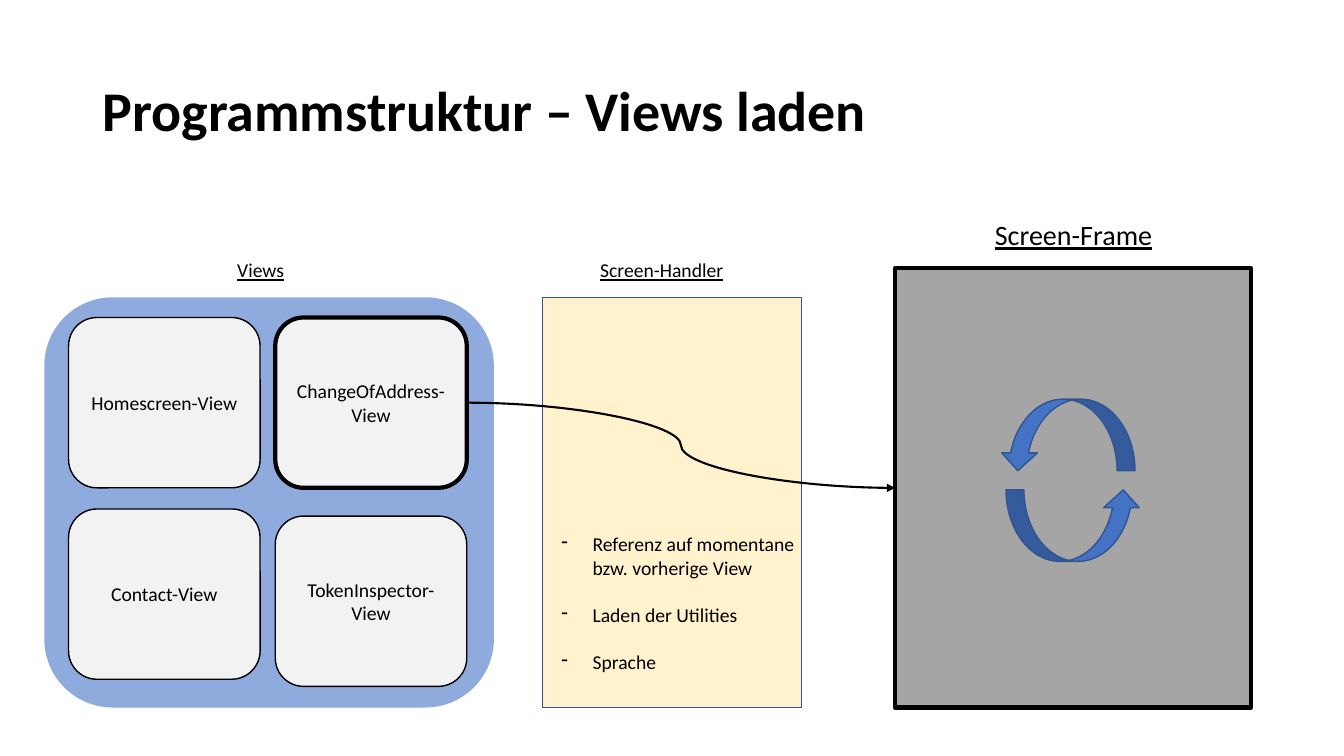
from itertools import product

from pptx import Presentation
from pptx.dml.color import RGBColor as RGB
from pptx.enum.shapes import MSO_CONNECTOR as LINK, MSO_SHAPE as KIND
from pptx.enum.text import MSO_ANCHOR as ANCHOR, PP_ALIGN as ALIGN
from pptx.oxml.ns import qn
from pptx.util import Inches, Pt
from lxml.etree import SubElement as Sub

WIDE, HIGH = Inches(13.33), Inches(7.5)
BLACK, BLUE, EDGE, CARD = "000000", "4472C4", "325491", "F2F2F2"


def area(left, top, wide, high):
    """Turn percentages of the slide into lengths."""
    return [int(part * size / 100) for part, size in
            zip((left, top, wide, high), (WIDE, HIGH, WIDE, HIGH))]


def paint(fill, hue):
    """Give a fill one solid colour."""
    fill.solid()
    fill.fore_color.rgb = RGB.from_string(hue)


def put(item, values):
    """Set every attribute in a dict of format values."""
    for name, value in values.items():
        setattr(item, name, value)


def write(frame, lines, look, form, anchor=ANCHOR.TOP):
    """Fill a text frame with equally formatted paragraphs."""
    put(frame, {"word_wrap": True, "vertical_anchor": anchor})
    for at, line in enumerate(lines):
        para = frame.add_paragraph() if at else frame.paragraphs[0]
        put(para, form)
        run = para.add_run()
        run.text = line
        put(run.font, {"name": "Calibri", "size": Pt(14), **look})
        paint(run.font.fill, BLACK)
    return frame.paragraphs


def block(slide, kind, place, hue, edge=None, thick=1, turn=0):
    """Add a flat preset shape."""
    shape = slide.shapes.add_shape(kind, *area(*place))
    shape.shadow.inherit = False
    shape.rotation = turn
    paint(shape.fill, hue)
    if edge:
        paint(shape.line.fill, edge)
        shape.line.width = Pt(thick)
    else:
        shape.line.fill.background()
    return shape


def card(slide, name, place, thick=1):
    """Add a rounded card with its view's name."""
    shape = block(slide, KIND.ROUNDED_RECTANGLE, place, CARD, BLACK, thick)
    write(shape.text_frame, [name], {}, {"alignment": ALIGN.CENTER}, ANCHOR.MIDDLE)
    return shape


def label(slide, name, place, size=14):
    """Add a centred underlined heading."""
    box = slide.shapes.add_textbox(*area(*place))
    write(box.text_frame, [name], {"size": Pt(size), "underline": True},
          {"alignment": ALIGN.CENTER})


def dashes(slide, lines, place):
    """Add a list with hanging dashes and spaced items."""
    box = slide.shapes.add_textbox(*area(*place))
    paras = write(box.text_frame, lines, {}, {})
    for at, para in enumerate(paras):
        para.space_before = Pt(17 if at else 0)
        props = para._p.get_or_add_pPr()
        props.set("marL", str(Inches(0.31)))
        props.set("indent", str(-Inches(0.31)))
        Sub(props, qn("a:buChar")).set("char", "-")


def curve(slide, start, end):
    """Join two shapes from right to left with a curved arrow."""
    link = slide.shapes.add_connector(LINK.CURVE, 0, 0, 0, 0)
    link.begin_connect(start, 3)
    link.end_connect(end, 1)
    paint(link.line.fill, BLACK)
    link.line.width = Pt(1.5)
    Sub(link.line._get_or_add_ln(), qn("a:tailEnd")).set("type", "triangle")
    Sub(link._element.spPr, qn("a:effectLst"))


def main():
    """Build the slide on loading views."""
    deck = Presentation()
    put(deck, {"slide_width": WIDE, "slide_height": HIGH})
    slide = deck.slides.add_slide(deck.slide_layouts[6])

    title = slide.shapes.add_textbox(*area(6.9, 5.33, 86.25, 19.33))
    write(title.text_frame, ["Programmstruktur – Views laden"],
          {"size": Pt(40), "bold": True}, {"line_spacing": 0.9}, ANCHOR.MIDDLE)

    block(slide, KIND.RECTANGLE, (40.35, 39.33, 19.28, 54.27), "FFF2CC", EDGE)
    block(slide, KIND.ROUNDED_RECTANGLE, (3.3, 39.33, 33.45, 54.27), "8FAADC")
    screen = block(slide, KIND.RECTANGLE, (66.6, 35.47, 26.48, 58.13),
                   "A5A5A5", BLACK, 3)

    label(slide, "Views", (13.65, 33.47, 11.48, 4.53))
    label(slide, "Screen-Handler", (43.5, 33.47, 11.48, 4.53))
    label(slide, "Screen-Frame", (72.08, 28.13, 15.6, 5.87), 20)

    names = ["Homescreen-View", "ChangeOfAddress-View",
             "Contact-View", "TokenInspector-View"]
    tops = [42, 42, 67.33, 68.27]
    cards = [card(slide, name, (5.1 + 15.38 * col, top, 14.25, 22.53),
                  3 if (row, col) == (0, 1) else 1)
             for name, top, (row, col) in zip(names, tops, product(range(2), repeat=2))]
    curve(slide, cards[1], screen)

    for left, top, turn in ((74.85, 64.8, 0), (74.4, 52.8, 180)):
        block(slide, KIND.CURVED_UP_ARROW, (left, top, 10.05, 9.47),
              BLUE, EDGE, turn=turn)

    dashes(slide, ["Referenz auf momentane bzw. vorherige View",
                   "Laden der Utilities", "Sprache"], (41.03, 69.73, 19.28, 20.13))
    deck.save("out.pptx")


if __name__ == "__main__":
    main()
